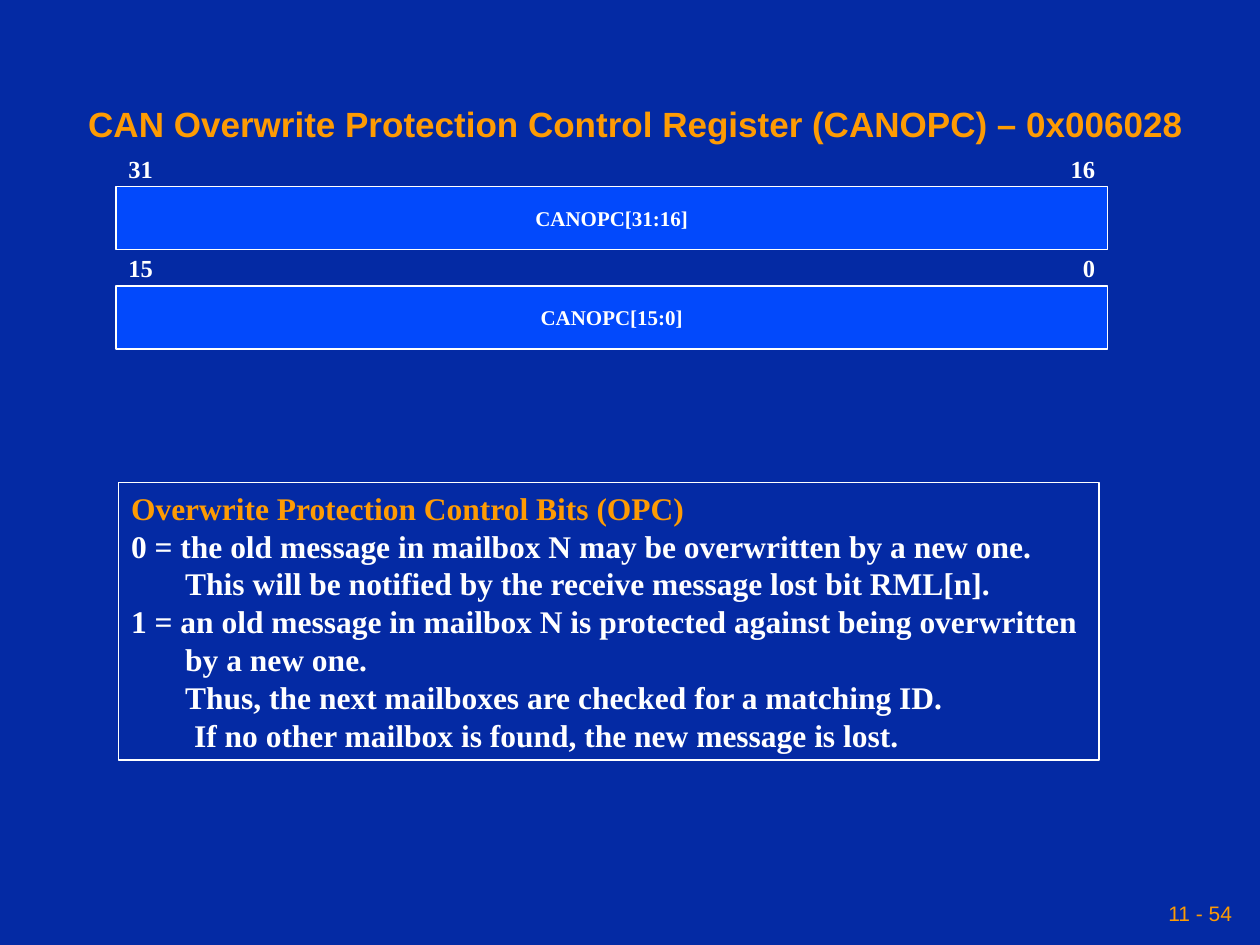
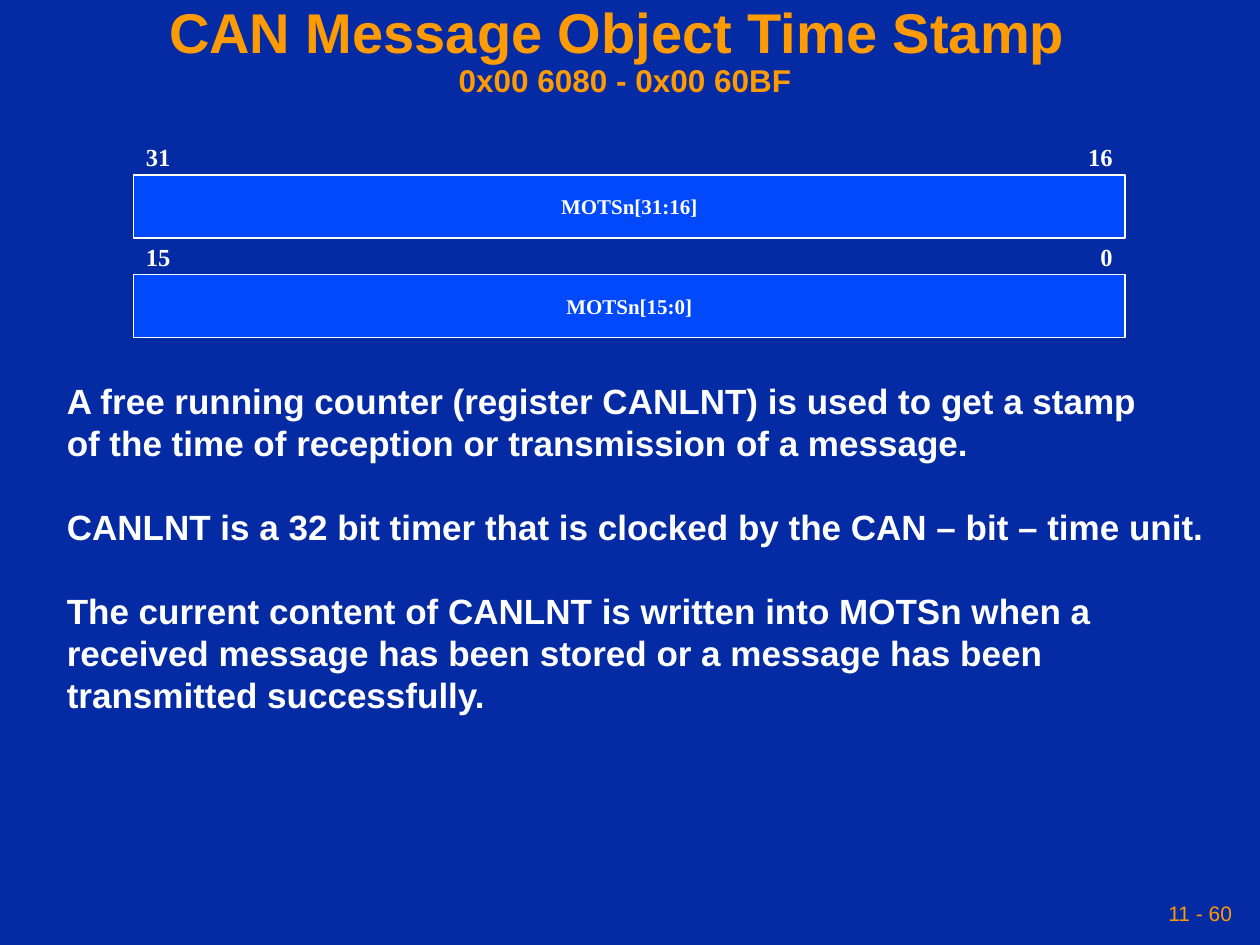
from dataclasses import dataclass

from lxml.etree import SubElement
from pptx import Presentation
from pptx.dml.color import RGBColor
from pptx.enum.shapes import MSO_SHAPE
from pptx.enum.text import MSO_ANCHOR, MSO_AUTO_SIZE, PP_ALIGN
from pptx.oxml.ns import qn
from pptx.util import Inches, Pt


@dataclass(frozen=True)
class Theme:
    background: RGBColor = RGBColor(0x04, 0x2A, 0xA4)
    accent: RGBColor = RGBColor(0xFE, 0x9B, 0x03)
    register: RGBColor = RGBColor(0x02, 0x49, 0xFC)
    white: RGBColor = RGBColor(0xFF, 0xFF, 0xFF)
    sans: str = "Arial"
    serif: str = "Times New Roman"
    headline: int = 32
    text: int = 20
    detail: int = 18
    bit_number: int = 14
    small: int = 12


THEME = Theme()


def set_font(font, size, name, color, bold=True):
    font.size = Pt(size)
    font.name = name
    font.color.rgb = color
    font.bold = bold


def place(shape, left, top, width, height, anchor=MSO_ANCHOR.TOP, inset=0.1):
    """Move a shape, set up its text frame and return that frame."""
    shape.left, shape.top = Inches(left), Inches(top)
    shape.width, shape.height = Inches(width), Inches(height)
    frame = shape.text_frame
    frame.auto_size = MSO_AUTO_SIZE.NONE
    frame.word_wrap = True
    frame.vertical_anchor = anchor
    frame.margin_left = frame.margin_right = Inches(inset)
    frame.margin_top = frame.margin_bottom = Inches(0.05)
    return frame


# Body lines are (text, indent in inches, space before in points).
PAGES = [
    dict(
        title=["CAN Overwrite Protection Control Register (CANOPC) – 0x006028"],
        title_sizes=[THEME.text],
        title_box=(0.6, 0.76, 9.1, 0.43), title_inset=0.1,
        title_anchor=MSO_ANCHOR.TOP, title_align=PP_ALIGN.LEFT, title_spacing=1.0,
        register="CANOPC", register_left=0.92, register_top=1.48,
        body_box=(0.94, 3.83, 7.78, 2.2), body_font=THEME.serif,
        body_size=THEME.detail, framed=True,
        body=[
            ("Overwrite Protection Control Bits (OPC)", 0, 0),
            ("0 = the old message in mailbox N may be overwritten by a new one.", 0, 0),
            ("This will be notified by the receive message lost bit RML[n].", 0.43, 0),
            ("1 = an old message in mailbox N is protected against being overwritten", 0, 0),
            ("by a new one.", 0.43, 0),
            ("Thus, the next mailboxes are checked for a matching ID.", 0.43, 0),
            ("If no other mailbox is found, the new message is lost.", 0.5, 0),
        ],
        number="11 - 54",
    ),
    dict(
        title=["CAN Message Object Time Stamp ", "0x00 6080 - 0x00 60BF"],
        title_sizes=[THEME.headline, THEME.detail],
        title_box=(0, 0, 9.92, 0.83), title_inset=0.05,
        title_anchor=MSO_ANCHOR.MIDDLE, title_align=PP_ALIGN.CENTER, title_spacing=0.9,
        register="MOTSn", register_left=1.06, register_top=1.39,
        body_box=(0.43, 2.96, 9.32, 3.1), body_font=THEME.sans,
        body_size=THEME.text, framed=False,
        body=[
            ("A free running counter (register CANLNT) is used to get a stamp", 0, 0),
            ("of the time of reception or transmission of a message.", 0, 0),
            ("CANLNT is a 32 bit timer that is clocked by the CAN – bit – time unit.", 0, 24),
            ("The current content of CANLNT is written into MOTSn when a received message "
             "has been stored or a message has been transmitted successfully.", 0, 24),
        ],
        number="11 - 60",
    ),
]
REGISTER_WIDTH, REGISTER_HEIGHT, REGISTER_PITCH = 7.87, 0.5, 0.79
BIT_WIDTH, BIT_HEIGHT, BIT_RISE = 0.6, 0.34, 0.31

prs = Presentation()
prs.slide_width, prs.slide_height = Inches(10), Inches(7.5)
master_fill = prs.slide_master.background.fill
master_fill.solid()
master_fill.fore_color.rgb = THEME.background

for page in PAGES:
    slide = prs.slides.add_slide(prs.slide_layouts[1])
    title, body = slide.placeholders

    # Title
    frame = place(title, *page["title_box"], page["title_anchor"], page["title_inset"])
    heading = frame.paragraphs[0]
    heading.alignment = page["title_align"]
    heading.line_spacing = page["title_spacing"]
    for index, (line, size) in enumerate(zip(page["title"], page["title_sizes"])):
        if index:
            heading.add_line_break()
        run = heading.add_run()
        run.text = line
        set_font(run.font, size, THEME.sans, THEME.accent)

    # Register halves with their bit numbers
    left = page["register_left"]
    for row, (high, low) in enumerate([(31, 16), (15, 0)]):
        top = page["register_top"] + row * REGISTER_PITCH
        half = slide.shapes.add_shape(MSO_SHAPE.RECTANGLE, 0, 0, 0, 0)
        half.shadow.inherit = False
        half.fill.solid()
        half.fill.fore_color.rgb = THEME.register
        half.line.color.rgb = THEME.white
        half.line.width = Pt(1)
        frame = place(half, left, top, REGISTER_WIDTH, REGISTER_HEIGHT, MSO_ANCHOR.MIDDLE)
        bits = frame.paragraphs[0]
        bits.text = f"{page['register']}[{high}:{low}]"
        bits.alignment = PP_ALIGN.CENTER
        set_font(bits.font, THEME.small, THEME.serif, THEME.white)

        right = left + REGISTER_WIDTH - BIT_WIDTH
        for bit, bit_left, align in [(high, left, PP_ALIGN.LEFT), (low, right, PP_ALIGN.RIGHT)]:
            label = slide.shapes.add_textbox(0, 0, 0, 0)
            frame = place(label, bit_left, top - BIT_RISE, BIT_WIDTH, BIT_HEIGHT)
            bit_number = frame.paragraphs[0]
            bit_number.text = str(bit)
            bit_number.alignment = align
            set_font(bit_number.font, THEME.bit_number, THEME.serif, THEME.white)

    # Explanation
    frame = place(body, *page["body_box"])
    if page["framed"]:
        body.line.color.rgb = THEME.white
        body.line.width = Pt(1)
    for index, (line, indent, gap) in enumerate(page["body"]):
        paragraph = frame.add_paragraph() if index else frame.paragraphs[0]
        paragraph.text = line
        paragraph.line_spacing = 1.0
        paragraph.space_before = Pt(gap)
        properties = paragraph._p.get_or_add_pPr()
        properties.set("marL", str(Inches(indent)))
        properties.set("indent", "0")
        SubElement(properties, qn("a:buNone"))
        is_caption = page["framed"] and index == 0
        set_font(paragraph.font, page["body_size"], page["body_font"],
                 THEME.accent if is_caption else THEME.white)

    # Page number
    footer = slide.shapes.add_textbox(0, 0, 0, 0)
    frame = place(footer, 6.83, 7.08, 3, 0.33, MSO_ANCHOR.MIDDLE, inset=0.05)
    page_number = frame.paragraphs[0]
    page_number.text = page["number"]
    page_number.alignment = PP_ALIGN.RIGHT
    set_font(page_number.font, THEME.small, THEME.sans, THEME.accent, bold=False)

prs.save("out.pptx")
